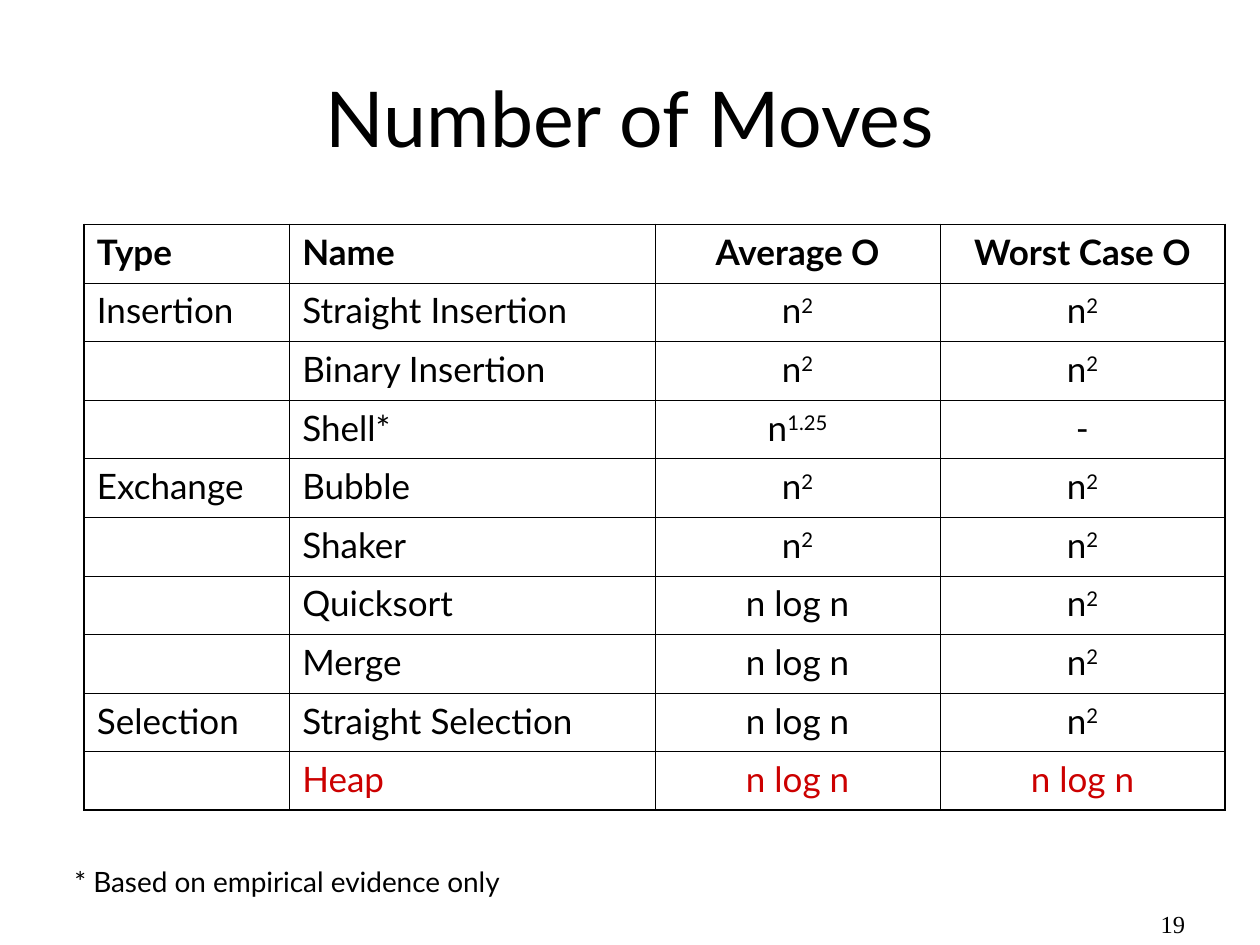
"""Build the slide that compares the number of moves of sorting algorithms."""
from dataclasses import dataclass

from lxml.etree import SubElement
from pptx import Presentation
from pptx.dml.color import RGBColor
from pptx.enum.text import MSO_ANCHOR, MSO_AUTO_SIZE, PP_ALIGN
from pptx.oxml.ns import qn
from pptx.util import Pt

BLACK = RGBColor(0x00, 0x00, 0x00)
RED = RGBColor(0xCC, 0x00, 0x00)
BODY_FONT = "Lato"
NUMBER_FONT = "Times New Roman"
PLAIN_STYLE = "{2D5ABB26-0587-4C30-8999-92F81FD0307C}"
THIN, THICK = Pt(0.45), Pt(1.08)
COLUMN_WIDTHS = (117.4, 208.8, 162.8, 162.8)
ROW_HEIGHT = 33.48


@dataclass(frozen=True)
class Algorithm:
    """One table row; a caret in an order starts its exponent."""
    kind: str
    name: str
    average: str
    worst: str
    color: RGBColor = BLACK
    bold: bool = False


@dataclass(frozen=True)
class Note:
    """A one-line text box with its place in points."""
    text: str
    left: float
    top: float
    width: float
    height: float
    size: float
    font: str
    line_spacing: float
    align: PP_ALIGN
    margins: tuple[float, float]
    auto_size: MSO_AUTO_SIZE


ALGORITHMS = (
    Algorithm("Type", "Name", "Average O", "Worst Case O", bold=True),
    Algorithm("Insertion", "Straight Insertion", "n^2", "n^2"),
    Algorithm("", "Binary Insertion", "n^2", "n^2"),
    Algorithm("", "Shell*", "n^1.25", "-"),
    Algorithm("Exchange", "Bubble", "n^2", "n^2"),
    Algorithm("", "Shaker", "n^2", "n^2"),
    Algorithm("", "Quicksort", "n log n", "n^2"),
    Algorithm("", "Merge", "n log n", "n^2"),
    Algorithm("Selection", "Straight Selection", "n log n", "n^2"),
    Algorithm("", "Heap", "n log n", "n log n", color=RED),
)
NOTES = (
    Note("19", 620.6, 519.8, 99.4, 20.2, 14, NUMBER_FONT, 0.75,
         PP_ALIGN.CENTER, (7.2, 3.6), MSO_AUTO_SIZE.NONE),
    Note("* Based on empirical evidence only", 42.5, 496.8, 652.3, 16.6, 16, BODY_FONT, 0.85,
         PP_ALIGN.LEFT, (0, 0), MSO_AUTO_SIZE.SHAPE_TO_FIT_TEXT),
)


def style_paragraph(para, font: str, size: float, align: PP_ALIGN,
                    color: RGBColor = BLACK, bold: bool = False) -> None:
    """Format a whole paragraph."""
    para.alignment = align
    para.font.name = font
    para.font.size = Pt(size)
    para.font.bold = bold
    para.font.color.rgb = color


def add_border(cell, side: str, width: int) -> None:
    """Draw one black cell border."""
    line = SubElement(cell._tc.get_or_add_tcPr(), qn(f"a:ln{side}"), w=str(int(width)))
    fill = SubElement(line, qn("a:solidFill"))
    SubElement(fill, qn("a:srgbClr"), val=str(BLACK))


def write_order(para, text: str) -> None:
    """Write cell text, raising what follows a caret."""
    base, _, exponent = text.partition("^")
    if base:
        para.add_run().text = base
    if exponent:
        span = para.add_run()
        span.text = exponent
        span._r.get_or_add_rPr().set("baseline", "30000")


def add_algorithm_table(page) -> None:
    """Draw the table with a thick outer frame and thin inner lines."""
    last_row, last_column = len(ALGORITHMS) - 1, len(COLUMN_WIDTHS) - 1
    frame = page.shapes.add_table(len(ALGORITHMS), len(COLUMN_WIDTHS), Pt(48.2), Pt(128.2),
                                  Pt(sum(COLUMN_WIDTHS)), Pt(ROW_HEIGHT * len(ALGORITHMS)))
    table = frame.table
    table.first_row = table.horz_banding = False
    table._tbl.tblPr.find(qn("a:tableStyleId")).text = PLAIN_STYLE
    for column, width in zip(table.columns, COLUMN_WIDTHS):
        column.width = Pt(width)
    for row_index, algorithm in enumerate(ALGORITHMS):
        table.rows[row_index].height = Pt(ROW_HEIGHT)
        texts = (algorithm.kind, algorithm.name, algorithm.average, algorithm.worst)
        for column_index, text in enumerate(texts):
            cell = table.cell(row_index, column_index)
            outer_sides = {"L": column_index == 0, "R": column_index == last_column,
                           "T": row_index == 0, "B": row_index == last_row}
            for side, is_outer in outer_sides.items():
                add_border(cell, side, THICK if is_outer else THIN)
            cell.fill.background()
            para = cell.text_frame.paragraphs[0]
            write_order(para, text)
            align = PP_ALIGN.CENTER if column_index > 1 else PP_ALIGN.LEFT
            style_paragraph(para, BODY_FONT, 20, align, algorithm.color, algorithm.bold)


def add_note(page, note: Note) -> None:
    """Place one text box."""
    box = page.shapes.add_textbox(Pt(note.left), Pt(note.top), Pt(note.width), Pt(note.height))
    frame = box.text_frame
    frame.word_wrap = True
    frame.auto_size = note.auto_size
    frame.margin_left = frame.margin_right = Pt(note.margins[0])
    frame.margin_top = frame.margin_bottom = Pt(note.margins[1])
    para = frame.paragraphs[0]
    para.text = note.text
    para.line_spacing = note.line_spacing
    style_paragraph(para, note.font, note.size, note.align)


def add_title(page, text: str) -> None:
    """Fill and place the title placeholder."""
    title = page.shapes.title
    title.left, title.top, title.width, title.height = Pt(36), Pt(21.6), Pt(648), Pt(90)
    title.text_frame.vertical_anchor = MSO_ANCHOR.MIDDLE
    para = title.text_frame.paragraphs[0]
    para.text = text
    style_paragraph(para, BODY_FONT, 44, PP_ALIGN.CENTER)


def main() -> None:
    """Build and save the deck."""
    deck = Presentation()
    deck.slide_width, deck.slide_height = Pt(720), Pt(540)
    page = deck.slides.add_slide(deck.slide_layouts.get_by_name("Title Only"))
    add_title(page, "Number of Moves")
    add_algorithm_table(page)
    for note in NOTES:
        add_note(page, note)
    deck.save("out.pptx")


if __name__ == "__main__":
    main()
